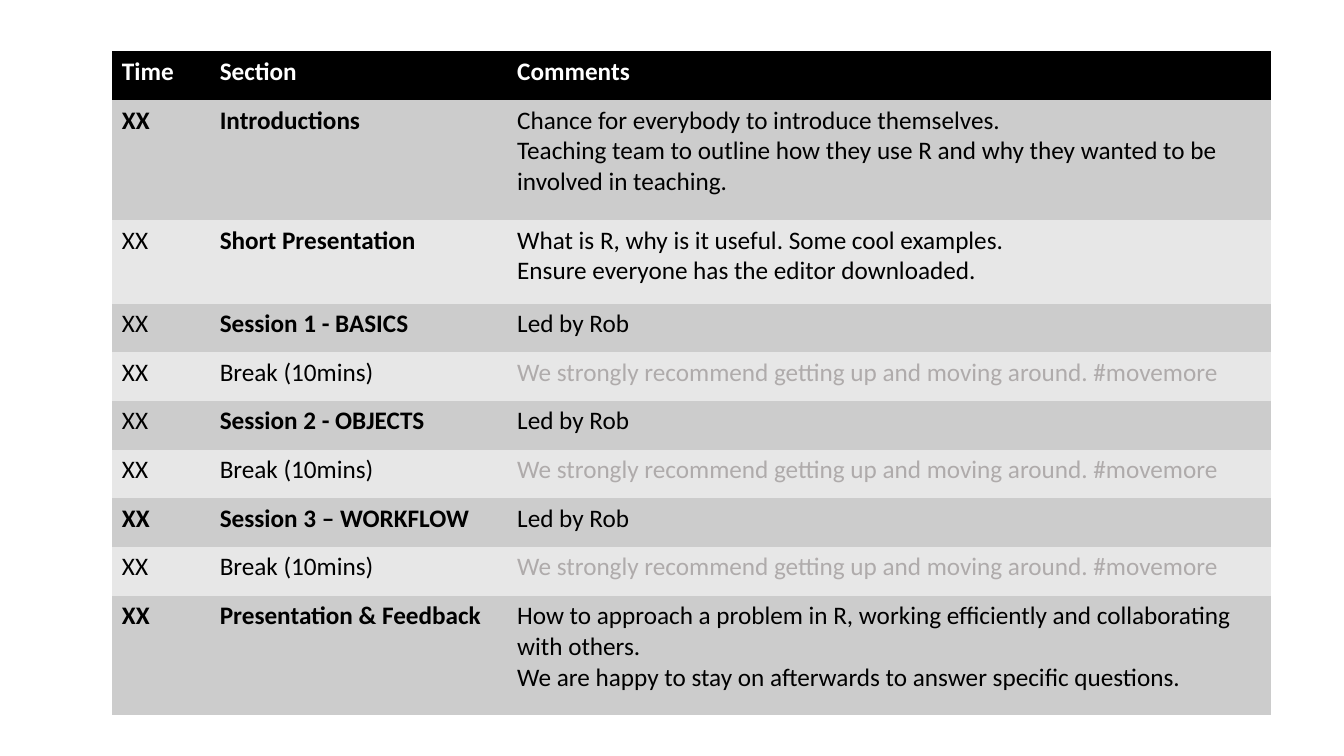
from pptx import Presentation
from pptx.dml.color import RGBColor
from pptx.util import Inches, Pt

BLACK = RGBColor(0x00, 0x00, 0x00)
WHITE = RGBColor(0xFF, 0xFF, 0xFF)
GREY = RGBColor(0xAF, 0xAB, 0xAB)
DARK_BAND = RGBColor(0xCC, 0xCC, 0xCC)
LIGHT_BAND = RGBColor(0xE7, 0xE7, 0xE7)

FONT_NAME = "Calibri"
FONT_SIZE = Pt(18)
NO_GRID_STYLE = "{2D5ABB26-0587-4C30-8999-92F81FD0307C}"

HEADINGS = ("Time", "Section", "Comments")
TIME = "XX"
BREAK = ("Break (10mins)", "We strongly recommend getting up and moving around. #movemore", False)
LEADER = "Led by Rob"

# Section, comments, whether the time is bold
AGENDA = [
    ("Introductions",
     "Chance for everybody to introduce themselves.\n"
     "Teaching team to outline how they use R and why they wanted to be involved in teaching.",
     True),
    ("Short Presentation",
     "What is R, why is it useful. Some cool examples.\n"
     "Ensure everyone has the editor downloaded.",
     False),
    ("Session 1 - BASICS", LEADER, False),
    BREAK,
    ("Session 2 - OBJECTS", LEADER, False),
    BREAK,
    ("Session 3 – WORKFLOW", LEADER, True),
    BREAK,
    ("Presentation & Feedback",
     "How to approach a problem in R, working efficiently and collaborating with others.\n"
     "We are happy to stay on afterwards to answer specific questions.",
     True),
]

COLUMN_WIDTHS = (0.97, 2.95, 7.58)
TALL_ROWS = {1: 1.19, 2: 0.83, 9: 1.19}


def fill_cell(cell, text, fill, color=BLACK, bold=False):
    cell.fill.solid()
    cell.fill.fore_color.rgb = fill
    cell.text = text
    for paragraph in cell.text_frame.paragraphs:
        font = paragraph.font
        font.name = FONT_NAME
        font.size = FONT_SIZE
        font.bold = bold
        font.color.rgb = color


def add_agenda(slide, left, top, width, height):
    """Place the agenda; one-line rows share the height the tall rows leave."""
    row_count = len(AGENDA) + 1
    table = slide.shapes.add_table(
        row_count, len(HEADINGS), Inches(left), Inches(top), Inches(width), Inches(height)
    ).table
    table._tbl.tblPr.find("{*}tableStyleId").text = NO_GRID_STYLE

    for column, column_width in zip(table.columns, COLUMN_WIDTHS):
        column.width = Inches(column_width)
    line_height = (height - sum(TALL_ROWS.values())) / (row_count - len(TALL_ROWS))
    for index, row in enumerate(table.rows):
        row.height = Inches(TALL_ROWS.get(index, line_height))

    for column, heading in enumerate(HEADINGS):
        fill_cell(table.cell(0, column), heading, BLACK, WHITE, bold=True)
    for row, entry in enumerate(AGENDA, start=1):
        section, comments, time_bold = entry
        is_break = entry == BREAK
        band = DARK_BAND if row % 2 else LIGHT_BAND
        fill_cell(table.cell(row, 0), TIME, band, bold=time_bold)
        fill_cell(table.cell(row, 1), section, band, bold=not is_break)
        fill_cell(table.cell(row, 2), comments, band, GREY if is_break else BLACK)


def main():
    presentation = Presentation()
    presentation.slide_width = Inches(13.33)
    presentation.slide_height = Inches(7.5)
    blank_layout = presentation.slide_layouts[6]
    slide = presentation.slides.add_slide(blank_layout)
    add_agenda(slide, 1.11, 0.51, 11.5, 6.59)
    presentation.save("out.pptx")


if __name__ == "__main__":
    main()
